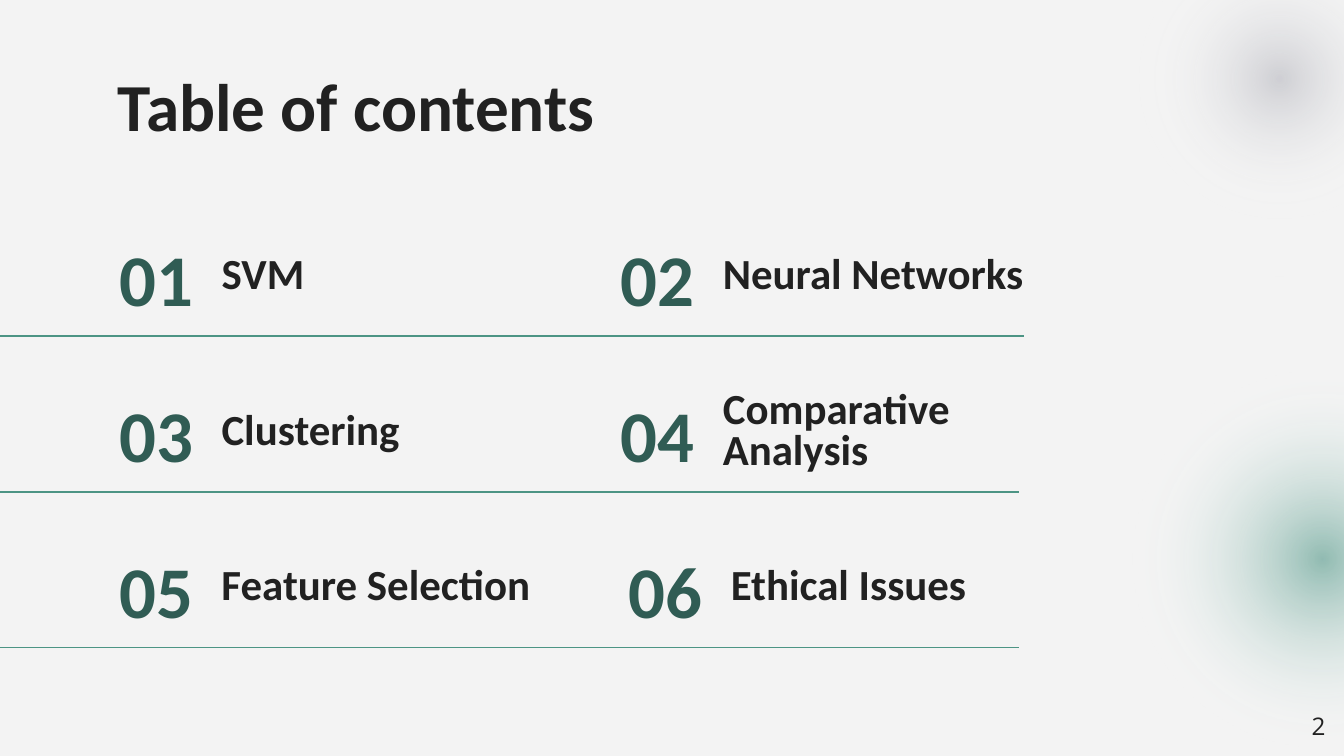
from pptx import Presentation
from pptx.dml.color import RGBColor
from pptx.enum.shapes import MSO_CONNECTOR, MSO_SHAPE
from pptx.enum.text import MSO_ANCHOR, PP_ALIGN
from pptx.oxml import parse_xml
from pptx.oxml.ns import nsdecls, qn
from pptx.oxml.xmlchemy import OxmlElement
from pptx.util import Inches, Pt

OVAL = MSO_SHAPE.OVAL
STRAIGHT = MSO_CONNECTOR.STRAIGHT
TOP, MIDDLE = MSO_ANCHOR.TOP, MSO_ANCHOR.MIDDLE
LEFT, RIGHT = PP_ALIGN.LEFT, PP_ALIGN.RIGHT

WIDTH = 10
HEIGHT = WIDTH * 9 / 16
DARK, GREEN, TEAL = "212121", "305C54", "4C9484"
ROW_TOP, ROW_STEP = 1.34, 1.16
COLUMNS = (0.79, 4.52)
LABEL_DX, LABEL_DY = 0.76, 0.27
ROWS = [
    (("SVM", "Neural Networks"), 2.62, 0, 7.62),
    (("Clustering", "Comparative Analysis"), 2.62, 0, 7.58),
    (("Feature Selection", "Ethical Issues"), 3.27, 0.06, 7.58),
]


def color(value):
    return RGBColor.from_string(value)


def add_text(s, text, x, y, w, h, size=23, fill=DARK, font="Calibri", bold=True,
             align=LEFT, anchor=TOP, top=0.1, spacing=1.0):
    tf = s.shapes.add_textbox(Inches(x), Inches(y), Inches(w), Inches(h)).text_frame
    tf.word_wrap = True
    tf.vertical_anchor = anchor
    tf.margin_left = tf.margin_right = tf.margin_bottom = Inches(0.1)
    tf.margin_top = Inches(top)
    p = tf.paragraphs[0]
    p.alignment = align
    p.line_spacing = spacing
    r = p.add_run()
    r.text = text
    r.font.name = font
    r.font.size = Pt(size)
    r.font.bold = bold
    r.font.color.rgb = color(fill)


def add_glow(s, x, y, size, tint, opacity):
    sp = s.shapes.add_shape(OVAL, Inches(x), Inches(y), Inches(size), Inches(size))
    sp.shadow.inherit = False
    sp.line.fill.background()
    sp.fill.solid()
    stops = "".join(
        f'<a:gs pos="{pos * 1000}"><a:srgbClr val="{rgb}">'
        f'<a:alpha val="{alpha * 1000}"/></a:srgbClr></a:gs>'
        for pos, rgb, alpha in ((0, tint, opacity), (50, "FFFFFF", 0), (100, "FFFFFF", 0))
    )
    gradient = parse_xml(
        f'<a:gradFill {nsdecls("a")} rotWithShape="1"><a:gsLst>{stops}</a:gsLst>'
        '<a:path path="circle">'
        '<a:fillToRect l="50000" t="50000" r="50000" b="50000"/>'
        '</a:path></a:gradFill>'
    )
    spPr = sp.element.spPr
    spPr.replace(spPr.find(qn("a:solidFill")), gradient)


def add_rule(s, y, length):
    line = s.shapes.add_connector(STRAIGHT, 0, Inches(y), Inches(length), Inches(y))
    line.line.color.rgb = color(TEAL)
    line.line.width = Pt(0.75)
    line.element.spPr.append(OxmlElement("a:effectLst"))


def add_entry(s, number, label, x, y, label_width):
    add_text(s, f"{number:02d}", x, y, 0.8, 1.48, size=39, fill=GREEN, top=0.4)
    add_text(s, label, x + LABEL_DX, y + LABEL_DY, label_width, 0.9,
             anchor=MIDDLE, spacing=0.8)


def main():
    prs = Presentation()
    prs.slide_width, prs.slide_height = Inches(WIDTH), Inches(HEIGHT)
    s = prs.slides.add_slide(prs.slide_layouts[6])
    s.background.fill.solid()
    s.background.fill.fore_color.rgb = color("F3F3F3")

    add_glow(s, 7.84, 2.16, 3.99, TEAL, 58)
    add_glow(s, 8.04, -0.89, 2.95, "B8B9C0", 61)
    add_text(s, "Table of contents", 0.78, 0.48, 8.44, 0.63, size=36, top=0)

    for row, (labels, width, shift, rule_length) in enumerate(ROWS):
        y = ROW_TOP + row * ROW_STEP
        for col, label in enumerate(labels):
            number = row * len(COLUMNS) + col + 1
            add_entry(s, number, label, COLUMNS[col] + col * shift, y, width)
        add_rule(s, y + ROW_STEP, rule_length)

    add_text(s, "2", 9.36, 5.19, 0.6, 0.43, size=13, font="Open Sans",
             bold=False, align=RIGHT)
    prs.save("out.pptx")


if __name__ == "__main__":
    main()
